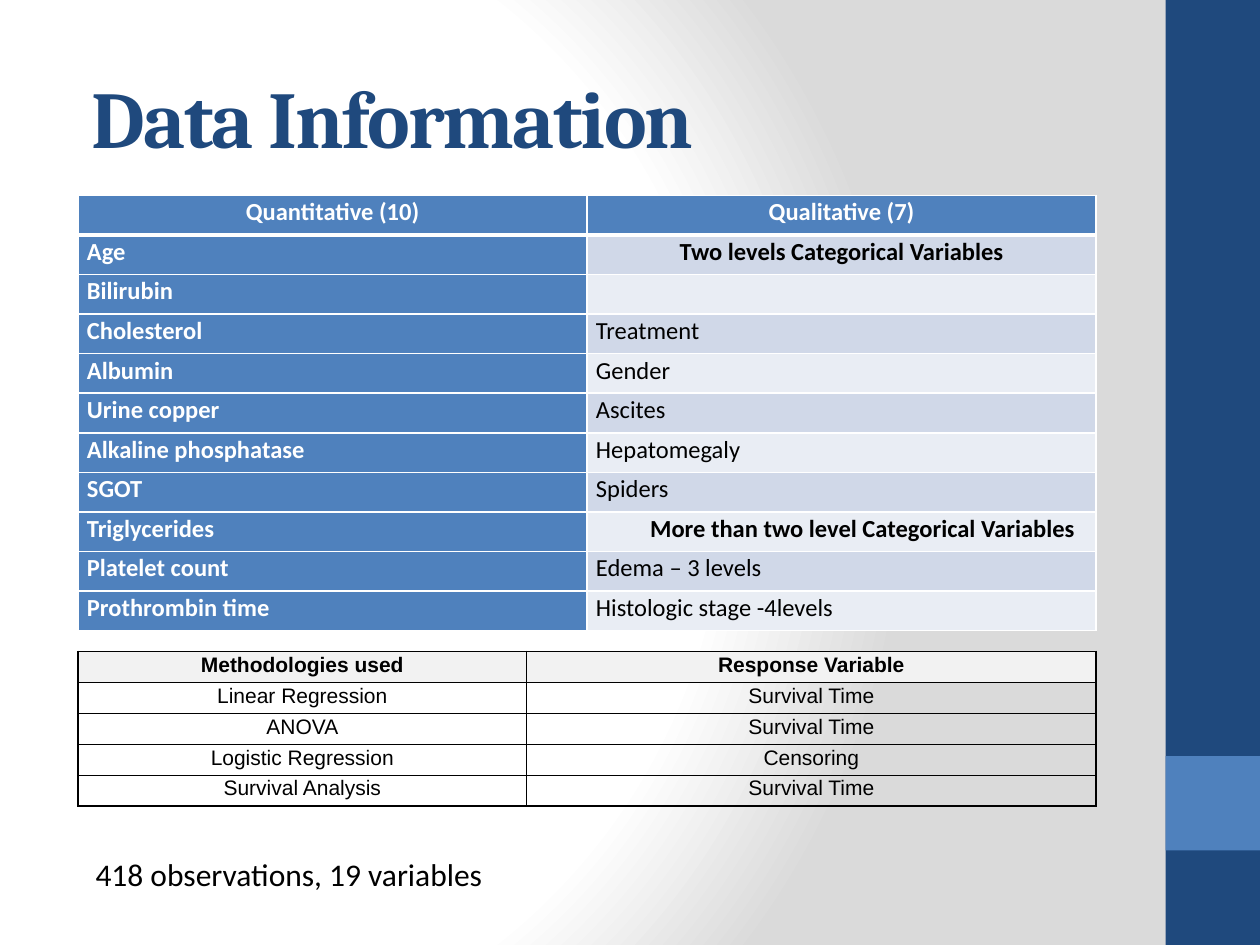
"""Build the Data Information slide with its two tables."""
from pptx import Presentation
from pptx.dml.color import RGBColor
from pptx.enum.shapes import MSO_SHAPE
from pptx.enum.text import MSO_ANCHOR, MSO_AUTO_SIZE, PP_ALIGN
from pptx.oxml import parse_xml
from pptx.util import Inches, Pt

RECT = MSO_SHAPE.RECTANGLE
MIDDLE = MSO_ANCHOR.MIDDLE
GROW = MSO_AUTO_SIZE.SHAPE_TO_FIT_TEXT
LEFT, CENTER = PP_ALIGN.LEFT, PP_ALIGN.CENTER
NS = 'xmlns:a="http://schemas.openxmlformats.org/drawingml/2006/main"'

NAVY, BLUE, WHITE, BLACK = "1F497D", "4F81BD", "FFFFFF", "000000"
BANDS = "D0D8E8", "E9EDF4"
STOPS = (0, WHITE), (75, WHITE), (100, "DADADA")
BARS = (0, 7.5, NAVY), (6, 0.75, BLUE)

TWO = "Two levels Categorical Variables"
MORE = "More than two level Categorical Variables"
VARS = [
    ("Quantitative (10)", "Qualitative (7)"),
    ("Age", TWO),
    ("Bilirubin", ""),
    ("Cholesterol", "Treatment"),
    ("Albumin", "Gender"),
    ("Urine copper", "Ascites"),
    ("Alkaline phosphatase", "Hepatomegaly"),
    ("SGOT", "Spiders"),
    ("Triglycerides", MORE),
    ("Platelet count", "Edema – 3 levels"),
    ("Prothrombin time", "Histologic stage -4levels"),
]
METHODS = [
    ("Methodologies used", "Response Variable"),
    ("Linear Regression", "Survival Time"),
    ("ANOVA", "Survival Time"),
    ("Logistic Regression", "Censoring"),
    ("Survival Analysis", "Survival Time"),
]


def rgb(code):
    return RGBColor.from_string(code)


def write(para, text, size, face, color, bold=False):
    run = para.add_run()
    run.text = text
    font = run.font
    font.size, font.name, font.bold = Pt(size), face, bold
    font.color.rgb = rgb(color)
    return run


def indent(para, inches):
    props = para._p.get_or_add_pPr()
    props.set("marL", str(Inches(inches)))
    props.set("indent", "0")


def border(cell, color, widths):
    props = cell._tc.get_or_add_tcPr()
    for i, (side, width) in enumerate(zip("LRTB", widths)):
        props.insert(i, parse_xml(
            f'<a:ln{side} {NS} w="{Pt(width)}"><a:solidFill>'
            f'<a:srgbClr val="{color}"/></a:solidFill></a:ln{side}>'))


def grid(slide, rows, top, height, cols, line, style):
    frame = slide.shapes.add_table(
        len(rows), len(cols), Inches(0.62), Inches(top),
        Inches(sum(cols)), Inches(height))
    table = frame.table
    table.first_row = table.horz_banding = False
    for col, width in zip(table.columns, cols):
        col.width = Inches(width)
    for r, row in enumerate(rows):
        table.rows[r].height = Inches(height / len(rows))
        for c, text in enumerate(row):
            cell = table.cell(r, c)
            fill, align, left, font, widths = style(r, c, text)
            cell.margin_left = cell.margin_right = Inches(0.07)
            cell.margin_top = cell.margin_bottom = 0
            if fill:
                cell.fill.solid()
                cell.fill.fore_color.rgb = rgb(fill)
            else:
                cell.fill.background()
            border(cell, line, widths)
            para = cell.text_frame.paragraphs[0]
            para.alignment, para.line_spacing = align, 1.07
            if left:
                indent(para, left)
            write(para, text, *font)


def var_style(r, c, text):
    head = r == 0
    dark = head or c == 0
    fill = BLUE if dark else BANDS[(r - 1) % 2]
    align = CENTER if head or text == TWO else LEFT
    left = 0.43 if text == MORE else 0
    font = 14, "Calibri", WHITE if dark else BLACK, dark or text in (TWO, MORE)
    widths = (1, 1, 3 if r == 1 else 1, 3 if head else 1)
    return fill, align, left, font, widths


def method_style(r, c, text):
    head = r == 0
    font = 12, "Arial", BLACK, head
    return "F2F2F2" if head else None, CENTER, 0, font, (1, 1, 1, 1)


def backdrop(slide):
    slide.background.fill.gradient()
    old = next(slide.element.iter("{*}gradFill"))
    stops = "".join(
        f'<a:gs pos="{pos * 1000}"><a:srgbClr val="{color}"/></a:gs>'
        for pos, color in STOPS)
    old.getparent().replace(old, parse_xml(
        f'<a:gradFill {NS} rotWithShape="1"><a:gsLst>{stops}</a:gsLst>'
        '<a:path path="circle"><a:fillToRect l="20000" t="50000" '
        'r="100000" b="50000"/></a:path></a:gradFill>'))


def main():
    deck = Presentation()
    deck.slide_width, deck.slide_height = Inches(10), Inches(7.5)
    slide = deck.slides.add_slide(deck.slide_layouts[5])
    backdrop(slide)
    for top, height, color in BARS:
        bar = slide.shapes.add_shape(
            RECT, Inches(9.25), Inches(top), Inches(0.75), Inches(height))
        bar.shadow.inherit = False
        bar.fill.solid()
        bar.fill.fore_color.rgb = rgb(color)
        bar.line.fill.background()

    title = slide.shapes.title
    title.left, title.top = Inches(0.5), Inches(0.3)
    title.width, title.height = Inches(8.33), Inches(1.25)
    title.text_frame.vertical_anchor = MIDDLE
    para = title.text_frame.paragraphs[0]
    para.alignment = LEFT
    indent(para, 0.13)
    run = write(para, "Data Information", 46, "Cambria", NAVY, True)
    run.font._element.set("spc", "-100")

    grid(slide, VARS, 1.55, 3.46, (4.04, 4.04), WHITE, var_style)
    grid(slide, METHODS, 5.17, 1.23, (3.56, 4.52), BLACK, method_style)

    note = slide.shapes.add_textbox(
        Inches(0.66), Inches(6.74), Inches(3.31), Inches(0.4))
    note.text_frame.word_wrap = False
    note.text_frame.auto_size = GROW
    write(note.text_frame.paragraphs[0], "418 observations, 19 variables",
          18, "Calibri", BLACK)
    deck.save("out.pptx")


main()
